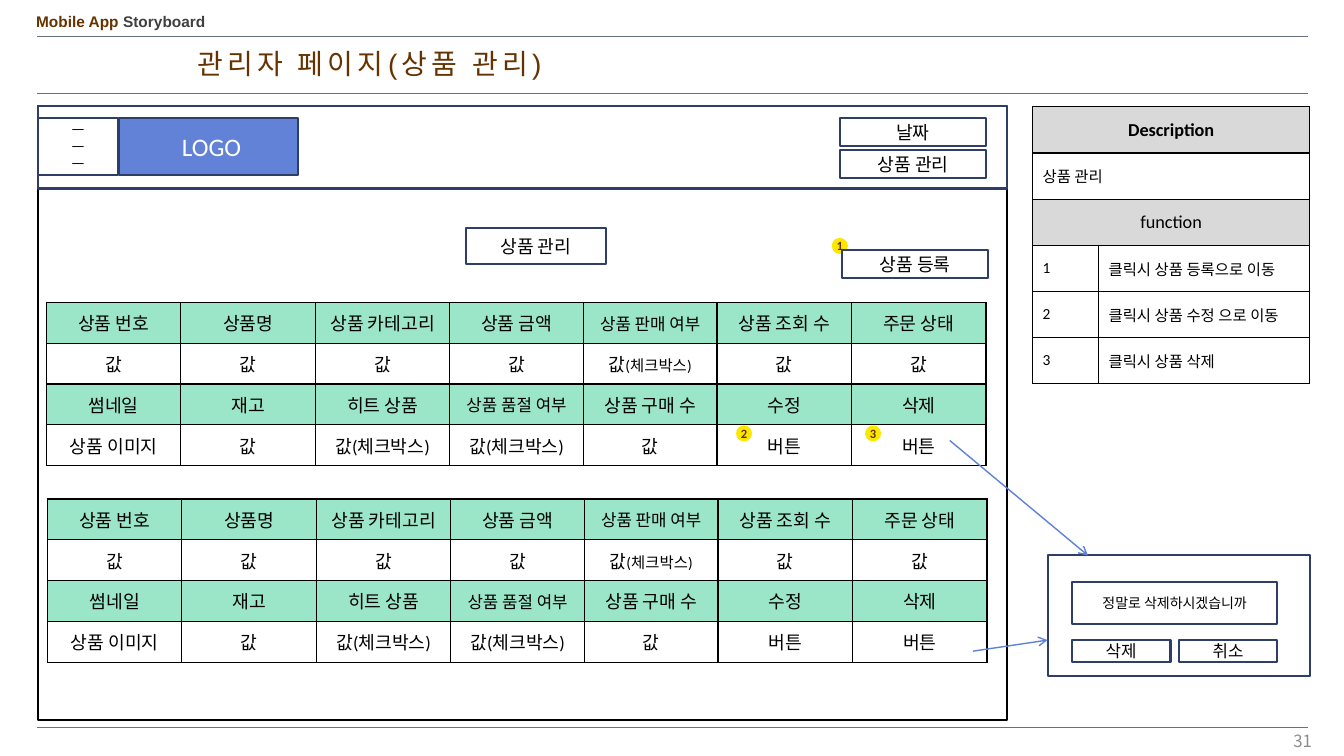
from dataclasses import dataclass
from typing import NamedTuple

from lxml.etree import SubElement
from pptx import Presentation
from pptx.dml.color import RGBColor
from pptx.enum.shapes import MSO_CONNECTOR as Connector, MSO_SHAPE as Preset
from pptx.enum.text import MSO_ANCHOR as Anchor, PP_ALIGN as Align
from pptx.oxml import parse_xml
from pptx.oxml.ns import nsdecls, qn
from pptx.util import Inches, Pt

COLUMNS, ROWS = 1333, 750
COLORS = {
    "white": "FFFFFF", "black": "000000", "navy": "2E3E67", "blue": "6182D6",
    "arrow": "5E81D9", "rule": "68727E", "brown": "663300", "charcoal": "404040",
    "page": "8C8C8C", "gray": "D9D9D9", "mint": "9BE5C8", "yellow": "FCE700",
}
KOREAN_FONT = "Noto Sans CJK KR"
CHECKBOX = "(체크박스)"

presentation = Presentation()
presentation.slide_width, presentation.slide_height = Inches(13.33), Inches(7.5)
slide = presentation.slides.add_slide(presentation.slide_layouts[6])


class Area(NamedTuple):
    left: float
    top: float
    width: float
    height: float


class Span(NamedTuple):
    text: str
    size: float = 13
    color: str = "black"
    bold: bool = False
    font: str = "Calibri"
    spacing: int = 0


@dataclass
class Box:
    area: Area
    text: Span | None = None
    fill: str = "white"
    line: str | None = "navy"
    preset: Preset = Preset.RECTANGLE


@dataclass
class Line:
    start: tuple[float, float]
    end: tuple[float, float]
    color: str = "rule"
    weight: float = 0.25
    arrow: bool = False


def column(count: float) -> int:
    return round(presentation.slide_width * count / COLUMNS)


def row(count: float) -> int:
    return round(presentation.slide_height * count / ROWS)


def place(area: Area) -> tuple[int, int, int, int]:
    return column(area.left), row(area.top), column(area.width), row(area.height)


def rgb(name: str) -> RGBColor:
    return RGBColor.from_string(COLORS[name])


def write(text_frame, spans: list[Span], align=Align.CENTER, line_spacing=None) -> None:
    text_frame.text = spans[0].text
    text_frame.vertical_anchor = Anchor.MIDDLE
    for span in spans[1:]:
        text_frame.paragraphs[0].add_run().text = span.text
    for paragraph in text_frame.paragraphs:
        paragraph.alignment = align
        paragraph.line_spacing = line_spacing
        for run, span in zip(paragraph.runs, spans):
            run.font.size, run.font.bold = Pt(span.size), span.bold
            run.font.name = span.font
            run.font.color.rgb = rgb(span.color)
            properties = run.font._element
            SubElement(properties, qn("a:ea")).set("typeface", KOREAN_FONT)
            if span.spacing:
                properties.set("spc", str(span.spacing * 100))


def draw_text(area: Area, spans: list[Span], align=Align.LEFT, line_spacing=None) -> None:
    text_frame = slide.shapes.add_textbox(*place(area)).text_frame
    text_frame.word_wrap = True
    write(text_frame, spans, align, line_spacing)


def draw_box(box: Box) -> None:
    shape = slide.shapes.add_shape(box.preset, *place(box.area))
    shape.shadow.inherit = False
    shape.fill.solid()
    shape.fill.fore_color.rgb = rgb(box.fill)
    if box.line:
        shape.line.color.rgb, shape.line.width = rgb(box.line), Pt(1.5)
    else:
        shape.line.fill.background()
    if box.text:
        text_frame = shape.text_frame
        if box.preset == Preset.OVAL:
            text_frame.margin_left = text_frame.margin_right = 0
            text_frame.margin_top = text_frame.margin_bottom = 0
        write(text_frame, [box.text])


def draw_line(line: Line) -> None:
    (x1, y1), (x2, y2) = line.start, line.end
    connector = slide.shapes.add_connector(
        Connector.STRAIGHT, column(x1), row(y1), column(x2), row(y2))
    connector.line.color.rgb, connector.line.width = rgb(line.color), Pt(line.weight)
    if line.arrow:
        SubElement(connector.line._get_or_add_ln(), qn("a:tailEnd")).set("type", "arrow")
    SubElement(connector._element.spPr, qn("a:effectLst"))


def style_cell(cell, fill: str) -> None:
    cell.fill.solid()
    cell.fill.fore_color.rgb = rgb(fill)
    cell.vertical_anchor = Anchor.MIDDLE
    for index, side in enumerate("LRTB"):
        cell._tc.get_or_add_tcPr().insert(index, parse_xml(
            f'<a:ln{side} {nsdecls("a")} w="12700"><a:solidFill>'
            f'<a:srgbClr val="{COLORS["black"]}"/></a:solidFill></a:ln{side}>'))


def draw_table(left: float, top: float, widths: list[float], height: float,
               rows: list[list[list[Span]]], fills: list[str], aligns: list[Align]) -> None:
    area = Area(left, top, sum(widths), height * len(rows))
    table = slide.shapes.add_table(len(rows), len(widths), *place(area)).table
    table.first_row = table.horz_banding = False
    for table_column, width in zip(table.columns, widths):
        table_column.width = column(width)
    for index, (cells, fill, align) in enumerate(zip(rows, fills, aligns)):
        table.rows[index].height = row(height)
        for position in range(len(widths)):
            style_cell(table.cell(index, position), fill)
        if len(cells) < len(widths):
            table.cell(index, 0).merge(table.cell(index, len(widths) - 1))
        for position, spans in enumerate(cells):
            write(table.cell(index, position).text_frame, spans, align)


def plain(*texts: str) -> list[list[Span]]:
    return [[Span(text, 12 if text in ("상품 판매 여부", "상품 품절 여부") else 13)]
            for text in texts]


PRODUCT_WIDTHS = [133.4] * 3 + [132.5] * 2 + [133.4] * 2
ORDER_ROWS = [
    plain("상품 번호", "상품명", "상품 카테고리", "상품 금액", "상품 판매 여부", "상품 조회 수", "주문 상태"),
    plain(*["값"] * 4) + [[Span("값"), Span(CHECKBOX, 11)]] + plain("값", "값"),
]
STOCK_ROWS = [
    plain("썸네일", "재고", "히트 상품", "상품 품절 여부", "상품 구매 수", "수정", "삭제"),
    plain("상품 이미지", "값", "값" + CHECKBOX, "값" + CHECKBOX, "값", "버튼", "버튼"),
]
FUNCTIONS = ["클릭시 상품 등록으로 이동", "클릭시 상품 수정 으로 이동", "클릭시 상품 삭제"]
DESCRIPTION_ROWS = [
    [[Span("Description", bold=True)]], [[Span("상품 관리", 11)]], [[Span("function")]],
] + [[[Span(str(number), 11)], [Span(text, 11)]] for number, text in enumerate(FUNCTIONS, 1)]

PANELS = [
    Box(Area(38, 105, 961, 609), line="black"),
    Box(Area(38, 105, 961, 82)),
]
BADGES = [
    Box(Area(left, top, 16, 16), Span(str(number), 9, "brown", True), "yellow", None, Preset.OVAL)
    for number, (left, top) in enumerate([(825, 236), (730, 422), (858, 422)], 1)
]
BOXES = [
    Box(Area(118, 117, 178, 57), Span(" LOGO", 18, "white"), "blue"),
    Box(Area(38, 117, 79, 57), Span("ㅡ\nㅡ\nㅡ", 10)),
    Box(Area(833, 117, 145, 28), Span("날짜")),
    Box(Area(833, 149, 145, 28), Span("상품 관리")),
    Box(Area(462, 226, 139, 36), Span("상품 관리")),
    Box(Area(835, 248, 145, 28), Span("상품 등록")),
    Box(Area(1039, 551, 260, 120)),
    Box(Area(1063, 577, 204, 42), Span("정말로 삭제하시겠습니까", 10)),
    Box(Area(1063, 635, 98, 22), Span("삭제", 12)),
    Box(Area(1169, 635, 98, 22), Span("취소", 12)),
]
RULES = [Line((37, y), (1297, y)) for y in (36, 92, 721)]
ARROWS = [
    Line((942, 437), (1079, 551), "arrow", 1, True),
    Line((965, 646), (1039, 635), "arrow", 1, True),
]


def main() -> None:
    for rule in RULES:
        draw_line(rule)
    draw_text(Area(26, 10, 357, 25), [
        Span("Mobile App ", 11, "brown", True, "Arial"),
        Span("Storyboard", 11, "charcoal", True, "Arial")], line_spacing=0.8)
    draw_text(Area(186, 45, 480, 40), [
        Span("관리자 페이지(상품 관리)", 20, "brown", font="Arial", spacing=3)], line_spacing=0.9)
    draw_text(Area(1024, 715, 287, 40), [Span("31", 12, "page", font=KOREAN_FONT)], Align.RIGHT)
    for panel in PANELS:
        draw_box(panel)
    draw_table(1024, 106, [65.5, 209.5], 45.8, DESCRIPTION_ROWS,
               ["gray", "white", "gray"] + ["white"] * 3,
               [Align.CENTER, Align.LEFT, Align.CENTER] + [Align.LEFT] * 3)
    for left, top in ((46, 300), (47, 495)):
        for offset, rows in ((0, ORDER_ROWS), (81, STOCK_ROWS)):
            draw_table(left, top + offset, PRODUCT_WIDTHS, 40.5, rows,
                       ["mint", "white"], [Align.CENTER] * 2)
    for box in BADGES + BOXES:
        draw_box(box)
    for arrow in ARROWS:
        draw_line(arrow)
    presentation.save("out.pptx")


if __name__ == "__main__":
    main()
